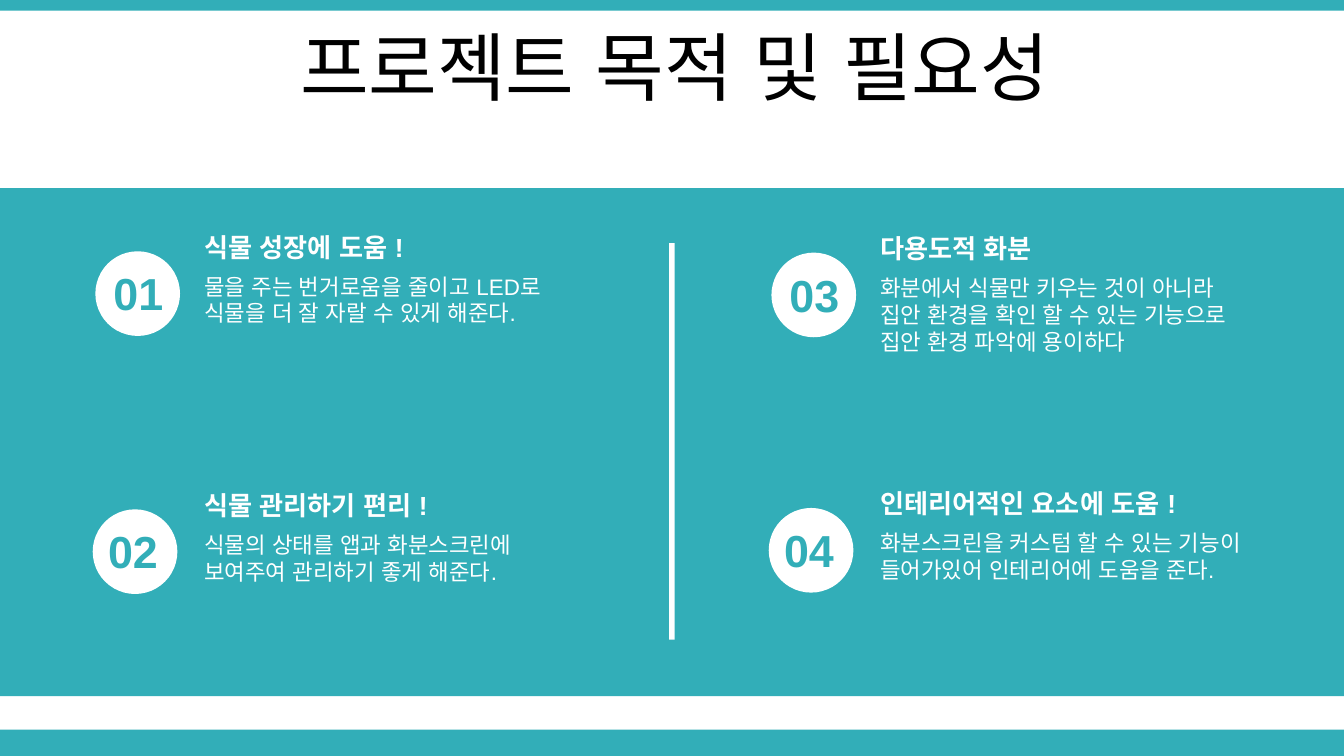
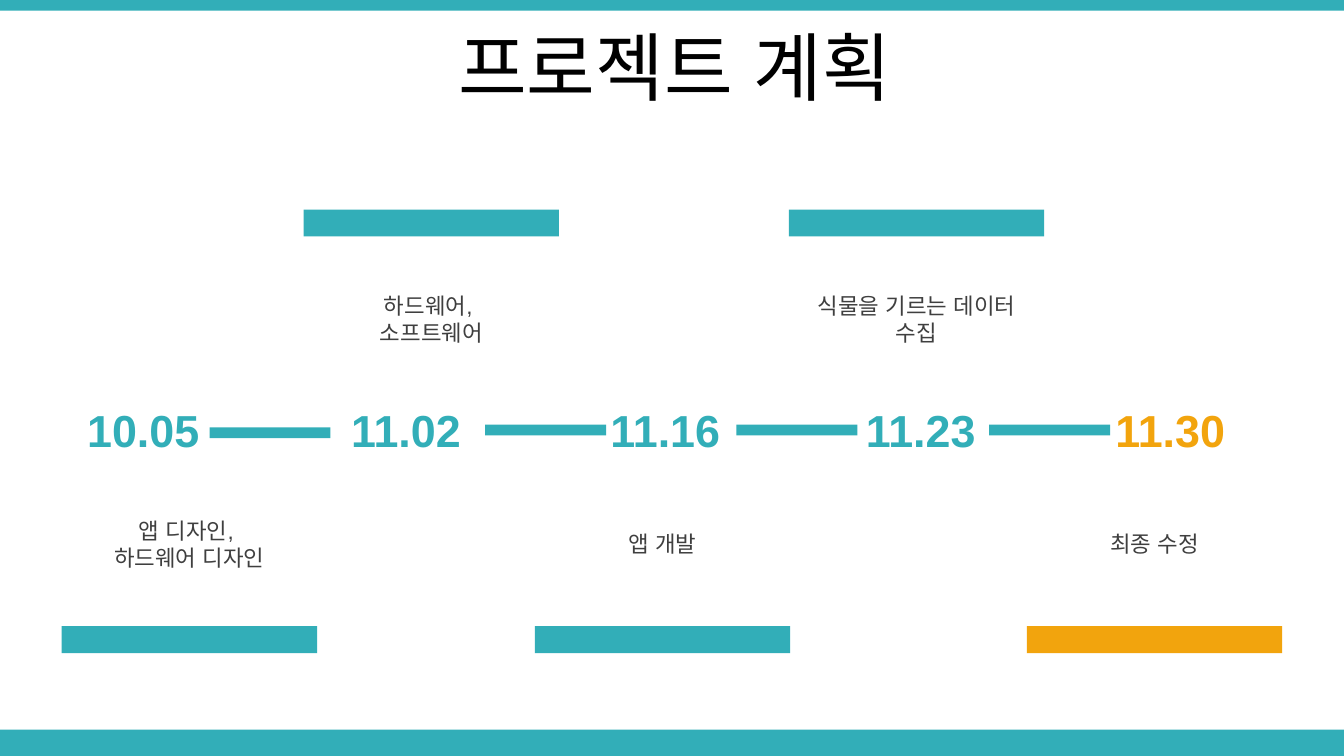
from dataclasses import dataclass

from pptx import Presentation
from pptx.dml.color import RGBColor
from pptx.enum.lang import MSO_LANGUAGE_ID as LANG
from pptx.enum.shapes import MSO_SHAPE as SHAPE
from pptx.enum.text import MSO_ANCHOR as ANCHOR, PP_ALIGN as ALIGN
from pptx.util import Inches, Pt

# Shared style
TEAL = RGBColor(0x32, 0xAE, 0xB8)
ORANGE = RGBColor(0xF2, 0xA4, 0x0D)
WHITE = RGBColor(0xFF, 0xFF, 0xFF)
BLACK = RGBColor(0x00, 0x00, 0x00)
GRAY = RGBColor(0x3F, 0x3F, 0x3F)
WIDTH = 10
HEIGHT = WIDTH * 9 / 16

BASE = {"name": "Arial", "language_id": LANG.KOREAN}
TITLE = BASE | {"size": Pt(40), "bold": False}
NUMBER = BASE | {"size": Pt(24), "bold": True}
HEADING = BASE | {"size": Pt(14), "bold": True}
BODY = BASE | {"size": Pt(12), "bold": False}


@dataclass(frozen=True)
class Reason:
    number: str
    heading: str
    body: str
    left: float  # left edge of the column
    top: float
    circle_dx: float
    number_dx: float


@dataclass(frozen=True)
class Step:
    date: str
    lines: tuple[str, ...]
    date_left: float
    bar_left: float
    above: bool = False
    color: RGBColor = TEAL
    align: ALIGN = ALIGN.CENTER


REASONS = [
    Reason("01", "식물 성장에 도움 !",
           "물을 주는 번거로움을 줄이고 LED로 식물을 더 잘 자랄 수 있게 해준다.",
           0, 1.67, 0.71, 0.68),
    Reason("02", "식물 관리하기 편리 !",
           "식물의 상태를 앱과 화분스크린에 보여주여 관리하기 좋게 해준다.",
           0, 3.59, 0.69, 0.64),
    Reason("03", "다용도적 화분",
           "화분에서 식물만 키우는 것이 아니라 집안 환경을 확인 할 수 있는 기능으로 "
           "집안 환경 파악에 용이하다",
           5.03, 1.68, 0.71, 0.68),
    Reason("04", "인테리어적인 요소에 도움 !",
           "화분스크린을 커스텀 할 수 있는 기능이 들어가있어 인테리어에 도움을 준다.",
           5.03, 3.58, 0.69, 0.64),
]

STEPS = [
    Step("10.05", ("앱 디자인, ", "하드웨어 디자인"), 0.55, 0.46, align=ALIGN.LEFT),
    Step("11.02", ("하드웨어, ", "소프트웨어"), 2.48, 2.26, above=True),
    Step("11.16", ("앱 개발",), 4.41, 3.98),
    Step("11.23", ("식물을 기르는 데이터 수집",), 6.31, 5.87, above=True),
    Step("11.30", ("최종 수정",), 8.2, 7.64, color=ORANGE, align=ALIGN.LEFT),
]
LINKS = [(1.56, 3.18), (3.61, 3.16), (5.48, 3.16), (7.36, 3.16)]


def add_block(shapes, x: float, y: float, w: float, h: float,
              color: RGBColor, kind: SHAPE = SHAPE.RECTANGLE) -> None:
    sp = shapes.add_shape(kind, Inches(x), Inches(y), Inches(w), Inches(h))
    sp.shadow.inherit = False
    sp.fill.solid()
    sp.fill.fore_color.rgb = color
    sp.line.fill.background()


def add_text(shapes, x: float, y: float, w: float, h: float,
             lines: tuple[str, ...], style: dict, color: RGBColor,
             align: ALIGN = ALIGN.LEFT, anchor: ANCHOR = ANCHOR.TOP) -> None:
    tf = shapes.add_textbox(Inches(x), Inches(y), Inches(w), Inches(h)).text_frame
    tf.word_wrap = True
    tf.vertical_anchor = anchor
    for i, line in enumerate(lines):
        p = tf.paragraphs[0] if i == 0 else tf.add_paragraph()
        p.alignment = align
        r = p.add_run()
        r.text = line
        for name, value in style.items():
            setattr(r.font, name, value)
        r.font.color.rgb = color


def add_base_slide(prs):
    s = prs.slides.add_slide(prs.slide_layouts[6])
    add_block(s.shapes, 0, 5.43, WIDTH, 0.2, TEAL)
    add_block(s.shapes, 0, 0, WIDTH, 0.08, TEAL)
    return s


def add_title(s, text: str) -> None:
    add_text(s.shapes, 0.02, 0.16, WIDTH, 0.66, (text,), TITLE, BLACK,
             ALIGN.CENTER, ANCHOR.MIDDLE)


def add_reason(s, item: Reason) -> None:
    add_block(s.shapes, item.left + item.circle_dx, item.top + 0.2, 0.63, 0.63,
              WHITE, SHAPE.OVAL)
    add_text(s.shapes, item.left + item.number_dx, item.top + 0.26, 0.7, 0.5,
             (item.number,), NUMBER, TEAL, ALIGN.CENTER)
    group = s.shapes.add_group_shape().shapes
    x = item.left + 1.42
    add_text(group, x, item.top + 0.31, 2.91, 0.71, (item.body,), BODY, WHITE)
    add_text(group, x, item.top, 2.91, 0.34, (item.heading,), HEADING, WHITE)


def add_step(s, step: Step) -> None:
    add_text(s.shapes, step.date_left, 2.95, 1.08, 0.5, (step.date,), NUMBER,
             step.color, step.align)
    text_top, bar_top = (1.82, 1.56) if step.above else (3.49, 4.66)
    group = s.shapes.add_group_shape().shapes
    add_text(group, step.bar_left, text_top, 1.9, 1.11, step.lines, BODY, GRAY,
             ALIGN.CENTER, ANCHOR.MIDDLE)
    add_block(group, step.bar_left, bar_top, 1.9, 0.2, step.color)


def build_purpose(prs) -> None:
    s = add_base_slide(prs)
    add_block(s.shapes, 0, 1.4, WIDTH, 3.78, TEAL)
    # Divider between the two columns
    add_block(s.shapes, 4.98, 1.81, 0.04, 2.95, WHITE)
    for item in REASONS:
        add_reason(s, item)
    add_title(s, "프로젝트 목적 및 필요성")


def build_plan(prs) -> None:
    s = add_base_slide(prs)
    for step in STEPS:
        add_step(s, step)
    # Bars between the dates
    for x, y in LINKS:
        add_block(s.shapes, x, y, 0.9, 0.08, TEAL)
    add_title(s, "프로젝트 계획")


def main() -> None:
    prs = Presentation()
    prs.slide_width, prs.slide_height = Inches(WIDTH), Inches(HEIGHT)
    build_purpose(prs)
    build_plan(prs)
    prs.save("out.pptx")


if __name__ == "__main__":
    main()
